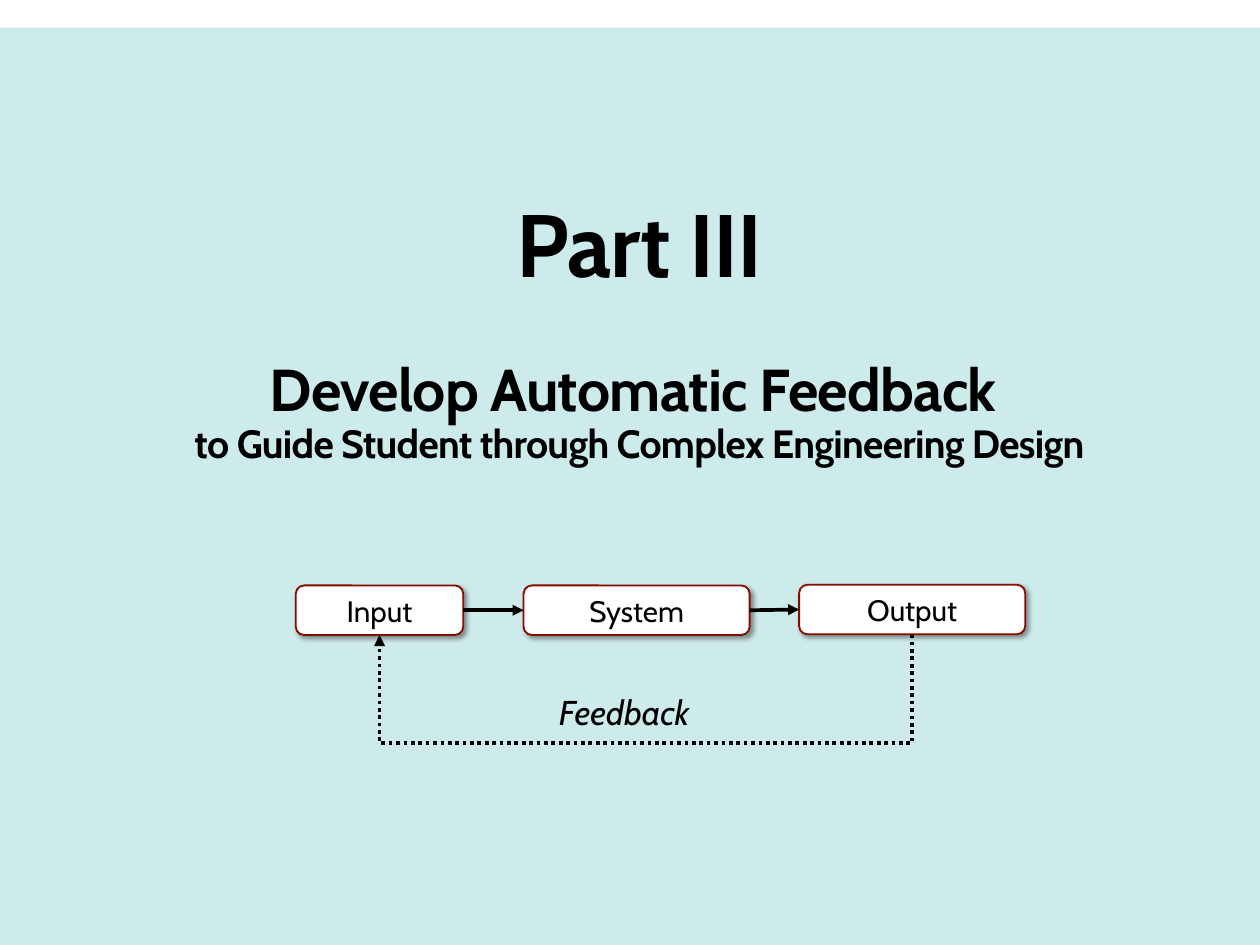
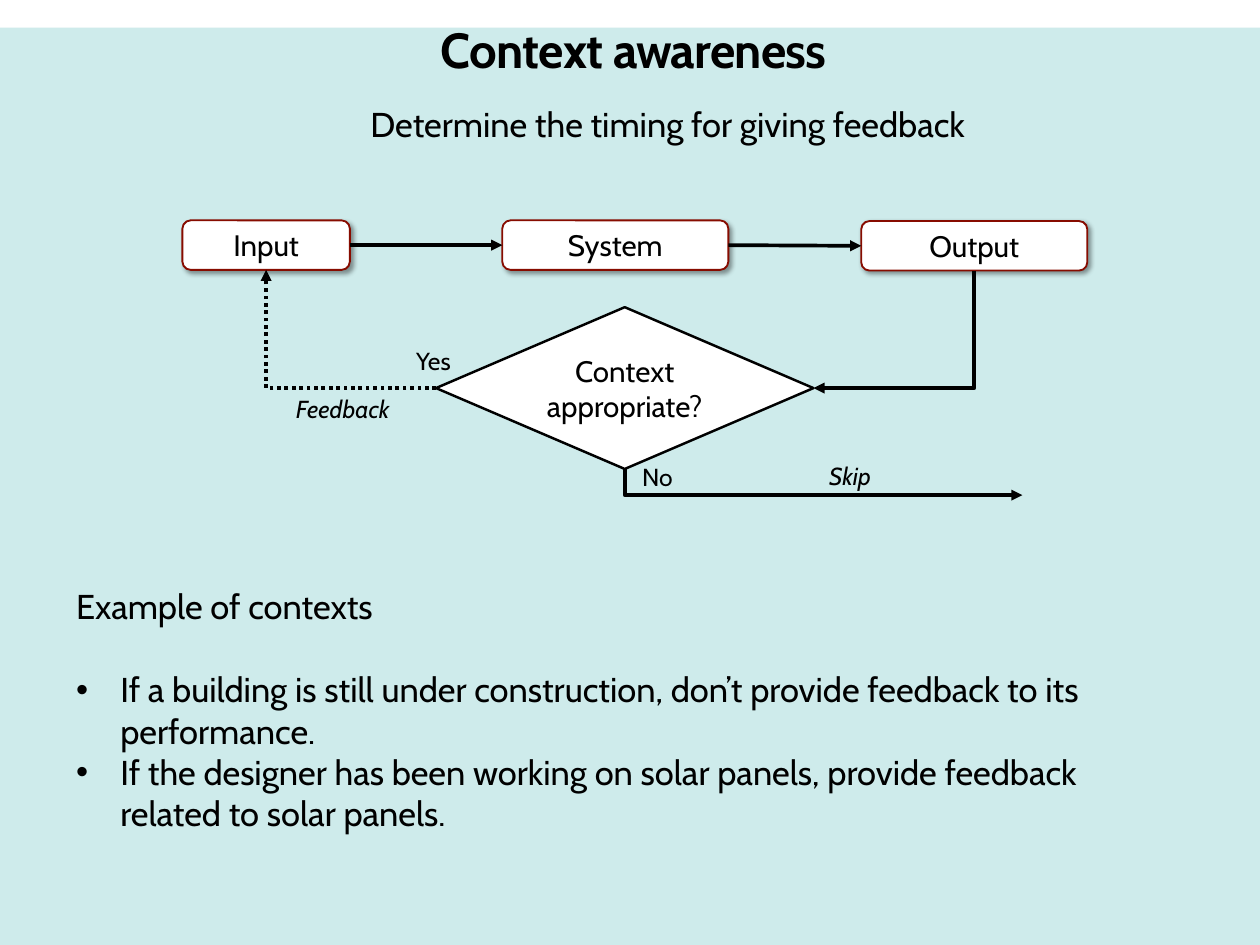
from dataclasses import dataclass
from typing import Optional

from lxml import etree
from pptx import Presentation
from pptx.dml.color import RGBColor
from pptx.enum import dml, shapes, text
from pptx.oxml import ns
from pptx.util import Cm, Pt

FONT = "Cabin"
COLORS = {"band": "CEEBEB", "ink": "000000", "paper": "FFFFFF", "border": "870C00"}
SLIDE_WIDTH, SLIDE_HEIGHT, BAND_TOP = 36.12, 27.1, 0.79
NODE_HEIGHT = 1.42
TOP, LEFT, BOTTOM, RIGHT = range(4)


@dataclass(frozen=True)
class Area:
    left: float
    top: float
    width: float
    height: float

    def lengths(self) -> tuple:
        return Cm(self.left), Cm(self.top), Cm(self.width), Cm(self.height)


@dataclass(frozen=True)
class Line:
    words: str
    size: float
    bold: bool = False
    italic: bool = False
    before: float = 0
    bullet: bool = False


@dataclass(frozen=True)
class Node:
    name: str
    left: float
    top: float
    width: float


@dataclass(frozen=True)
class Label:
    line: Line
    area: Area


@dataclass(frozen=True)
class Elbow:
    start: str
    start_site: int
    end: Optional[str]
    end_site: int
    rotation: int
    dotted: bool = False
    flip: bool = False
    drop: float = 0
    tip: tuple = (0, 0)


def color(name: str) -> RGBColor:
    return RGBColor.from_string(COLORS[name])


def add_element(parent, tag: str, **attributes: str):
    child = etree.SubElement(parent, ns.qn(tag))
    for key, value in attributes.items():
        child.set(key, value)
    return child


def write(frame, lines: list, align=None, spacing=None, tracking: int = 0) -> None:
    frame.word_wrap = True
    frame.text = "\n".join(line.words for line in lines)
    for para, line in zip(frame.paragraphs, lines):
        if line.bullet:
            properties = para._p.get_or_add_pPr()
            properties.set("marL", str(Cm(1.27)))
            properties.set("indent", str(-Cm(1.27)))
            add_element(properties, "a:buFont", typeface="Arial")
            add_element(properties, "a:buChar", char="•")
        para.alignment = align
        para.line_spacing = spacing
        if line.before:
            para.space_before = Pt(line.before)
        for span in para.runs:
            span.font.name = FONT
            span.font.size = Pt(line.size)
            span.font.bold = line.bold
            span.font.italic = line.italic
            span.font.color.rgb = color("ink")
            if tracking:
                span.font._element.set("spc", str(tracking))


def add_band(page, layout) -> None:
    area = Area(0, BAND_TOP, SLIDE_WIDTH, SLIDE_HEIGHT - BAND_TOP)
    band = page.shapes.add_shape(shapes.MSO_SHAPE.RECTANGLE, *area.lengths())
    band.shadow.inherit = False
    band.fill.solid()
    band.fill.fore_color.rgb = color("band")
    band.line.fill.background()
    band.element.nvSpPr.cNvPr.set("id", "99")
    layout.shapes.element.insert(2, band.element)


def set_title(page, area: Area, lines: list) -> None:
    title = page.shapes.title
    title.left, title.top, title.width, title.height = area.lengths()
    frame = title.text_frame
    frame.auto_size = text.MSO_AUTO_SIZE.NONE
    frame.vertical_anchor = text.MSO_ANCHOR.MIDDLE
    write(frame, lines, text.PP_ALIGN.CENTER, 0.9, -60)


def add_text(page, area: Area, lines: list, align=None) -> None:
    box = page.shapes.add_textbox(*area.lengths())
    write(box.text_frame, lines, align)


def add_box(page, kind, area: Area, words: str, border: str, weight: float):
    box = page.shapes.add_shape(kind, *area.lengths())
    box.shadow.inherit = False
    box.fill.solid()
    box.fill.fore_color.rgb = color("paper")
    box.line.color.rgb = color(border)
    box.line.width = Pt(weight)
    box.text_frame.vertical_anchor = text.MSO_ANCHOR.MIDDLE
    write(box.text_frame, [Line(words, 24)], text.PP_ALIGN.CENTER)
    return box


def add_node(page, node: Node):
    area = Area(node.left, node.top, node.width, NODE_HEIGHT)
    kind = shapes.MSO_SHAPE.FLOWCHART_ALTERNATE_PROCESS
    box = add_box(page, kind, area, node.name, "border", 1.5)
    effects = box.element.spPr.find(ns.qn("a:effectLst"))
    shadow = add_element(effects, "a:outerShdw", blurRad=str(Pt(4)), dist=str(Pt(3)),
                         dir="2700000", algn="tl", rotWithShape="0")
    shade = add_element(shadow, "a:srgbClr", val=COLORS["ink"])
    add_element(shade, "a:alpha", val="40000")
    return box


def add_decision(page, area: Area, words: str):
    box = add_box(page, shapes.MSO_SHAPE.FLOWCHART_DECISION, area, words, "ink", 2)
    frame = box.text_frame
    frame.margin_left = frame.margin_right = Cm(0.15)
    frame.margin_top = frame.margin_bottom = Cm(0.15)
    return box


def style_arrow(arrow, dotted: bool = False) -> None:
    arrow.line.color.rgb = color("ink")
    arrow.line.width = Pt(3)
    if dotted:
        arrow.line.dash_style = dml.MSO_LINE.ROUND_DOT
    properties = arrow.element.spPr
    add_element(properties.find(ns.qn("a:ln")), "a:tailEnd", type="triangle")
    add_element(properties, "a:effectLst")


def add_arrow(page, start, end) -> None:
    arrow = page.shapes.add_connector(shapes.MSO_CONNECTOR.STRAIGHT, 0, 0, 0, 0)
    arrow.begin_connect(start, RIGHT)
    arrow.end_connect(end, LEFT)
    style_arrow(arrow)


def add_elbow(page, boxes: dict, elbow: Elbow) -> None:
    tip_x, tip_y = elbow.tip
    arrow = page.shapes.add_connector(
        shapes.MSO_CONNECTOR.ELBOW, 0, 0, Cm(tip_x), Cm(tip_y))
    arrow.begin_connect(boxes[elbow.start], elbow.start_site)
    if elbow.end:
        arrow.end_connect(boxes[elbow.end], elbow.end_site)
    center_x = (arrow.begin_x + arrow.end_x) // 2
    center_y = (arrow.begin_y + arrow.end_y) // 2
    width = abs(arrow.end_x - arrow.begin_x)
    height = abs(arrow.end_y - arrow.begin_y)
    if elbow.rotation in (90, 270):
        width, height = height, width
    frame = arrow.element.spPr.find(ns.qn("a:xfrm"))
    for key in ("flipH", "flipV"):
        frame.attrib.pop(key, None)
    if elbow.flip:
        frame.set("flipH", "1")
    arrow.left, arrow.top = center_x - width // 2, center_y - height // 2
    arrow.width, arrow.height = width, height
    arrow.rotation = elbow.rotation
    geometry = arrow.element.spPr.find(ns.qn("a:prstGeom"))
    if elbow.drop:
        ratio = round(Cm(elbow.drop) / width * 100000)
        guides = geometry.find(ns.qn("a:avLst"))
        add_element(guides, "a:gd", name="adj1", fmla=f"val {ratio}")
    else:
        geometry.set("prst", "bentConnector2")
    style_arrow(arrow, elbow.dotted)


def add_flow(page, nodes: list, elbows: list, labels: list,
             decision: Optional[Label] = None) -> None:
    boxes = {node.name: add_node(page, node) for node in nodes}
    for start, end in zip(nodes, nodes[1:]):
        add_arrow(page, boxes[start.name], boxes[end.name])
    if decision:
        boxes["Decision"] = add_decision(page, decision.area, decision.line.words)
    for elbow in elbows:
        add_elbow(page, boxes, elbow)
    for label in labels:
        add_text(page, label.area, [label.line])


def build_part_page(page) -> None:
    set_title(page, Area(1.83, 4.39, 33, 10.39), [
        Line("Part III", 72, bold=True),
        Line("Develop Automatic Feedback ", 48, bold=True, before=52),
        Line("to Guide Student through Complex Engineering Design", 32, bold=True),
    ])
    add_flow(
        page,
        [Node("Input", 8.48, 16.79, 4.8),
         Node("System", 15.01, 16.79, 6.48),
         Node("Output", 22.91, 16.77, 6.48)],
        [Elbow("Output", BOTTOM, "Input", BOTTOM, 90, dotted=True, drop=3.12)],
        [Label(Line("Feedback", 28, italic=True), Area(15.77, 19.69, 4.95, 1.45))],
    )


def build_context_page(page) -> None:
    set_title(page, Area(1.37, 0.69, 33.6, 1.65),
              [Line("Context awareness", 40, bold=True)])
    add_text(page, Area(3.3, 2.82, 31.67, 1.45),
             [Line("Determine the timing for giving feedback", 28)],
             text.PP_ALIGN.CENTER)
    add_flow(
        page,
        [Node("Input", 5.23, 6.32, 4.8),
         Node("System", 14.4, 6.32, 6.48),
         Node("Output", 24.69, 6.34, 6.48)],
        [Elbow("Decision", LEFT, "Input", BOTTOM, 180, dotted=True),
         Elbow("Output", BOTTOM, "Decision", RIGHT, 90),
         Elbow("Decision", BOTTOM, None, LEFT, 270, flip=True, tip=(29.31, 14.2))],
        [Label(Line("Feedback", 20, italic=True), Area(8.23, 11.18, 3.66, 1.12)),
         Label(Line("Yes", 20), Area(11.68, 9.8, 1.63, 1.12)),
         Label(Line("No", 20), Area(18.16, 13.13, 1.63, 1.12)),
         Label(Line("Skip", 20, italic=True), Area(23.52, 13.08, 1.96, 1.12))],
        Label(Line("Context appropriate?", 24), Area(12.5, 8.81, 10.82, 4.64)),
    )
    add_text(page, Area(1.93, 16.66, 31.78, 7.44), [
        Line("Example of contexts", 28),
        Line("If a building is still under construction, don’t provide feedback "
             "to its performance.", 28, before=34, bullet=True),
        Line("If the designer has been working on solar panels, provide feedback "
             "related to solar panels.", 28, bullet=True),
    ])


def main() -> None:
    deck = Presentation()
    deck.slide_width, deck.slide_height = Cm(SLIDE_WIDTH), Cm(SLIDE_HEIGHT)
    layout = deck.slide_layouts[5]
    part_page = deck.slides.add_slide(layout)
    add_band(part_page, layout)
    build_part_page(part_page)
    build_context_page(deck.slides.add_slide(layout))
    deck.save("out.pptx")


if __name__ == "__main__":
    main()
